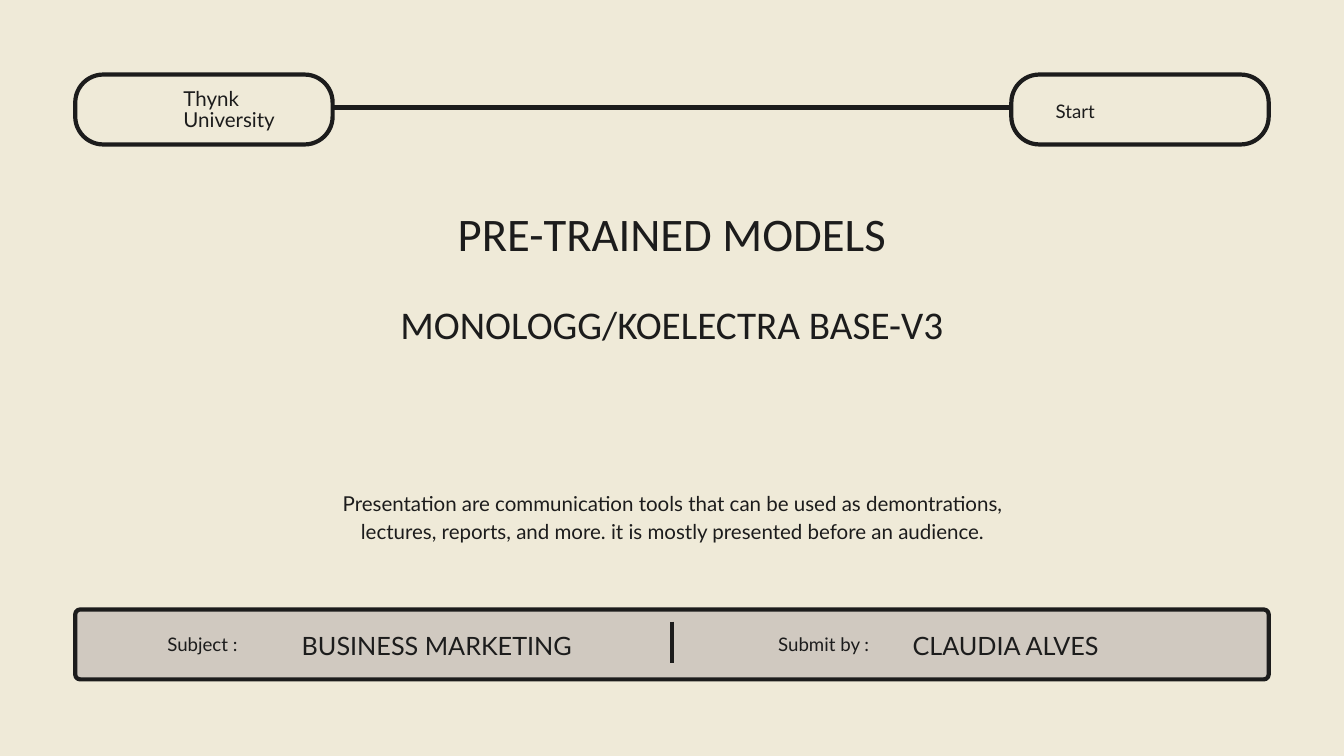
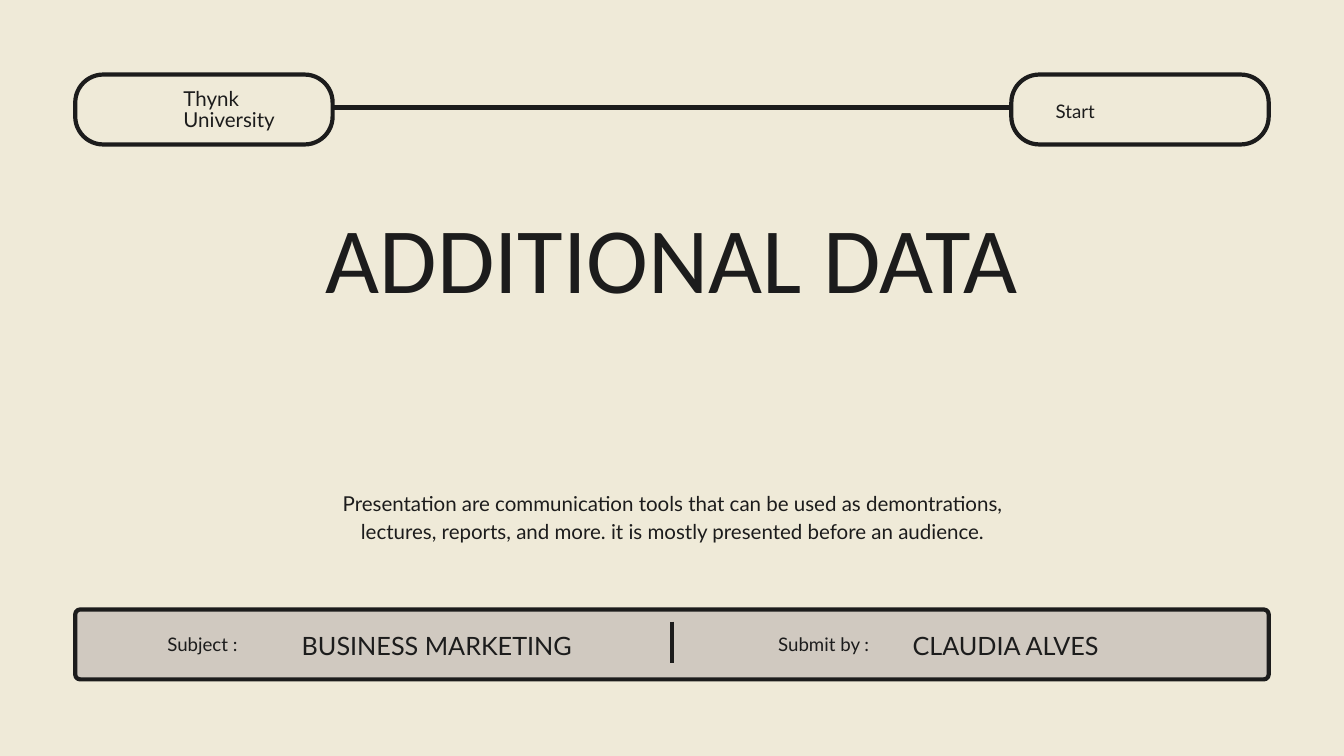
from collections import namedtuple

from lxml import etree
from pptx import Presentation
from pptx.dml.color import RGBColor
from pptx.enum.shapes import MSO_CONNECTOR, MSO_SHAPE
from pptx.enum.text import MSO_AUTO_SIZE as AutoSize, PP_ALIGN as Align
from pptx.oxml.ns import qn
from pptx.util import Inches, Pt

COLORS = {"paper": "EFEAD8", "ink": "1C1C1C", "band": "D0C9C0"}
BODY_FONT, TITLE_FONT = "Lato", "Calibri"
STROKE = Pt(4.5)

Box = namedtuple("Box", "left top width height")
# One line of text: wording, size, line spacing and space before, in points
Line = namedtuple("Line", "text size spacing before", defaults=[0])

# Regions shared by both slides
HEADER = Box(1.12, 1.11, 17.76, 1.04)
FOOTER = Box(1.12, 9.07, 17.76, 1.04)
SUMMARY = Box(3.65, 7.24, 12.71, 0.85)
PILL_WIDTH = 3.83

SUMMARY_LINES = [
    Line("Presentation are communication tools that can be used as demontrations,", 22, 30.8),
    Line("lectures, reports, and more. it is mostly presented before an audience.", 22, 30.8),
]
# Label, value, left edge in the footer, width of the value
FOOTER_FIELDS = [
    ("Submit by :", "CLAUDIA ALVES", 10.46, 3.54),
    ("Subject :", "BUSINESS MARKETING", 1.37, 4.13),
]
# Title box and its lines for each slide
TITLES = [
    (Box(3.81, 3.19, 12.38, 2.04),
     [Line("PRE-TRAINED MODELS", 50, 50),
      Line("MONOLOGG/KOELECTRA BASE-V3", 42, 42, before=50)]),
    (Box(3.81, 3.25, 12.38, 2.94),
     [Line("ADDITIONAL DATA", 100, 100)]),
]


def color(name):
    return RGBColor.from_string(COLORS[name])


def add_text(slide, box, lines, font=BODY_FONT, align=Align.LEFT):
    frame = slide.shapes.add_textbox(*map(Inches, box)).text_frame
    frame.margin_left = frame.margin_right = 0
    frame.margin_top = frame.margin_bottom = 0
    frame.word_wrap = True
    frame.auto_size = AutoSize.SHAPE_TO_FIT_TEXT
    for index, line in enumerate(lines):
        paragraph = frame.add_paragraph() if index else frame.paragraphs[0]
        paragraph.text = line.text
        paragraph.alignment = align
        paragraph.line_spacing = Pt(line.spacing)
        if line.before:
            paragraph.space_before = Pt(line.before)
        paragraph.font.name = font
        paragraph.font.size = Pt(line.size)
        paragraph.font.color.rgb = color("ink")


def add_panel(slide, box, fill, roundness):
    shape = slide.shapes.add_shape(MSO_SHAPE.ROUNDED_RECTANGLE, *map(Inches, box))
    shape.adjustments[0] = roundness
    shape.shadow.inherit = False
    shape.fill.solid()
    shape.fill.fore_color.rgb = color(fill)
    shape.line.color.rgb = color("ink")
    shape.line.width = STROKE


def add_rule(slide, *ends):
    rule = slide.shapes.add_connector(MSO_CONNECTOR.STRAIGHT, *map(Inches, ends))
    rule.line.color.rgb = color("ink")
    rule.line.width = STROKE
    etree.SubElement(rule._element.spPr, qn("a:effectLst"))


def add_header(slide, box):
    # Two pills joined by a line
    left_end = box.left + PILL_WIDTH
    right_start = box.left + box.width - PILL_WIDTH
    for left in (box.left, right_start):
        add_panel(slide, Box(left, box.top, PILL_WIDTH, box.height), "paper", 0.4)
    line_y = box.top + 0.49
    add_rule(slide, left_end, line_y, right_start, line_y)
    # Pill wording
    add_text(slide, Box(box.left + 1.61, box.top + 0.23, 1.89, 0.62),
             [Line("Thynk University", 22, 22)])
    add_text(slide, Box(right_start + 0.66, box.top + 0.43, 1.32, 0.27),
             [Line("Start", 20, 20)])


def add_footer(slide, box):
    # Band with a divider in the middle
    add_panel(slide, box, "band", 0.07)
    middle = box.left + box.width / 2
    add_rule(slide, middle, box.top + 0.18, middle, box.top + 0.79)
    # Label and value pairs
    for label, value, offset, value_width in FOOTER_FIELDS:
        left = box.left + offset
        add_text(slide, Box(left, box.top + 0.41, 2, 0.27), [Line(label, 20, 20)])
        add_text(slide, Box(left + 2, box.top + 0.24, value_width, 0.5),
                 [Line(value, 27, 37.8)])


def add_title_slide(presentation, title_box, title_lines):
    slide = presentation.slides.add_slide(presentation.slide_layouts[6])
    slide.background.fill.solid()
    slide.background.fill.fore_color.rgb = color("paper")
    add_footer(slide, FOOTER)
    add_header(slide, HEADER)
    add_text(slide, title_box, title_lines, TITLE_FONT, Align.CENTER)
    add_text(slide, SUMMARY, SUMMARY_LINES, align=Align.CENTER)


def main():
    presentation = Presentation()
    presentation.slide_width = Inches(20)
    presentation.slide_height = Inches(11.25)
    for title_box, title_lines in TITLES:
        add_title_slide(presentation, title_box, title_lines)
    presentation.save("out.pptx")


if __name__ == "__main__":
    main()
